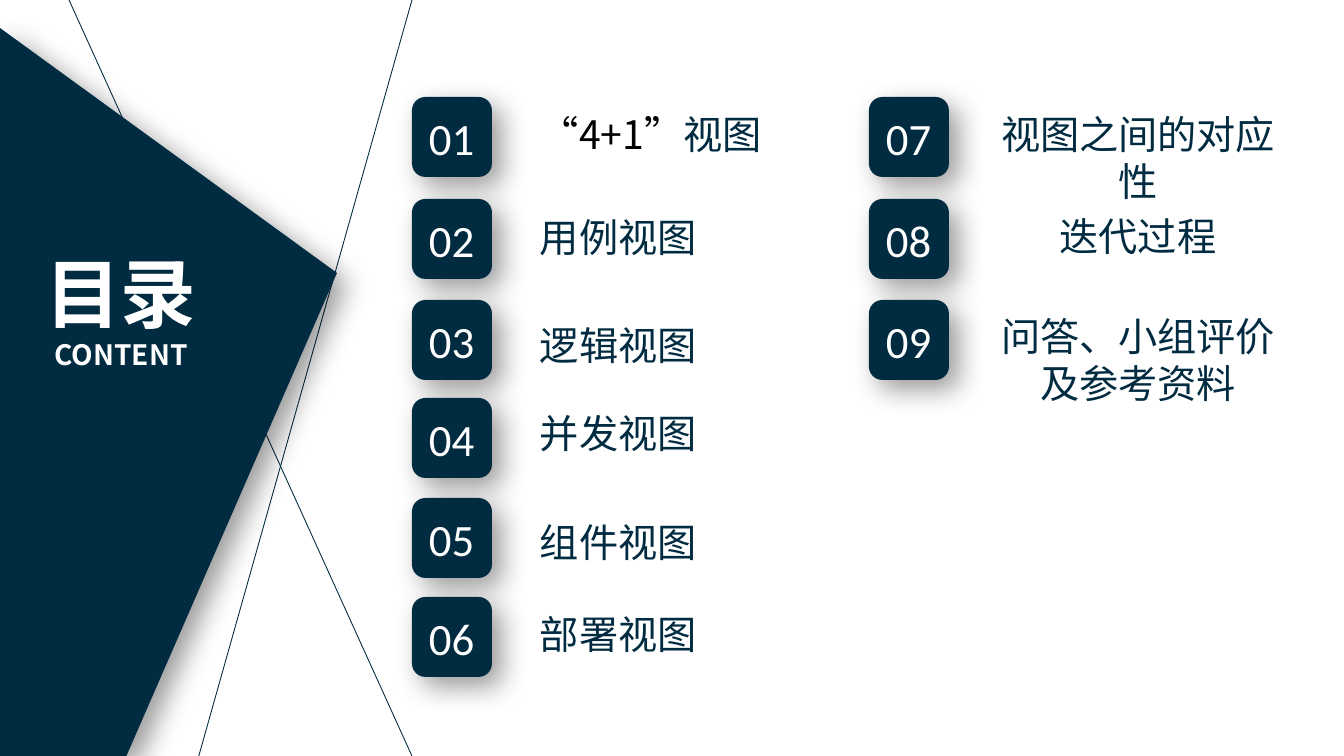
import pptx
import pptx.dml.color
import pptx.enum.lang
import pptx.enum.shapes
import pptx.enum.text
import pptx.oxml
import pptx.oxml.ns
import pptx.util

PX = 914400 / 100.8
NAVY = pptx.dml.color.RGBColor(0x00, 0x2B, 0x41)
WHITE = pptx.dml.color.RGBColor(0xFF, 0xFF, 0xFF)
BLACK = pptx.dml.color.RGBColor(0x00, 0x00, 0x00)
CJK = "Noto Sans CJK SC"
LEFT = pptx.enum.text.PP_ALIGN.LEFT
CENTER = pptx.enum.text.PP_ALIGN.CENTER
A_NS = pptx.oxml.ns.nsdecls("a")
SHADOW = (
    f'<a:outerShdw {A_NS} blurRad="254000" dist="127000" dir="2700000" algn="tl" rotWithShape="0">'
    '<a:srgbClr val="000000"><a:alpha val="40000"/></a:srgbClr></a:outerShdw>'
)


def fill_with_shadow(sp):
    sp.fill.solid()
    sp.fill.fore_color.rgb = NAVY
    sp.line.fill.background()
    sp.shadow.inherit = False
    effects = sp._element.spPr.find(pptx.oxml.ns.qn("a:effectLst"))
    effects.append(pptx.oxml.parse_xml(SHADOW))


def add_text(box, paragraphs, align, wrap=True):
    """Each paragraph is a list of (text, colour, font format) runs."""
    tf = s.shapes.add_textbox(*(round(v * PX) for v in box)).text_frame
    tf.word_wrap = wrap
    for i, runs in enumerate(paragraphs):
        p = tf.add_paragraph() if i else tf.paragraphs[0]
        p.alignment = align
        for text, color, fmt in runs:
            r = p.add_run()
            r.text = text
            for name, value in fmt.items():
                setattr(r.font, name, value)
            r.font.color.rgb = color
            ea = f'<a:ea {A_NS} typeface="{fmt["name"]}"/>'
            r.font._element.append(pptx.oxml.parse_xml(ea))


prs = pptx.Presentation()
prs.slide_width = round(1344 * PX)
prs.slide_height = round(756 * PX)
s = prs.slides.add_slide(prs.slide_layouts[6])

# Thin crossing lines
for ends in [(412, 0, 196, 766), (412, 756, 60, -20)]:
    line = s.shapes.add_connector(
        pptx.enum.shapes.MSO_CONNECTOR.STRAIGHT, *(round(v * PX) for v in ends))
    line.line.color.rgb = NAVY
    line.line.width = pptx.util.Pt(0.63)
    line._element.spPr.append(pptx.oxml.parse_xml(f"<a:effectLst {A_NS}/>"))

# Dark panel
panel = s.shapes.build_freeform(126, 757, scale=PX)
panel.add_line_segments([(0, 757), (0, 28), (337, 273)], close=True)
fill_with_shadow(panel.convert_to_shape())

# Title
title_fmt = {"name": CJK, "size": pptx.util.Pt(54), "bold": True}
subtitle_fmt = {**title_fmt, "size": pptx.util.Pt(20)}
add_text((24, 242, 194, 136),
         [[("目录", WHITE, title_fmt)], [("CONTENT", WHITE, subtitle_fmt)]], CENTER)

# Contents: tile left, label alignment, then (tile top, label top, label runs)
columns = [
    (412, LEFT, [
        (97, 105, [("“4+1”", BLACK), ("视图", NAVY)]),
        (199, 208, [("用例视图", NAVY)]),
        (300, 316, [("逻辑视图", NAVY)]),
        (398, 404, [("并发视图", NAVY)]),
        (498, 513, [("组件视图", NAVY)]),
        (597, 605, [("部署视图", NAVY)]),
    ]),
    (869, CENTER, [
        (97, 105, [("视图之间的对应性", NAVY)]),
        (199, 207, [("迭代过程", NAVY)]),
        (300, 307, [("问答、小组评价及参考资料", NAVY)]),
    ]),
]
number_fmt = {"name": "Calibri", "size": pptx.util.Pt(32)}
label_fmt = {
    "name": CJK,
    "size": pptx.util.Pt(28),
    "language_id": pptx.enum.lang.MSO_LANGUAGE_ID.SIMPLIFIED_CHINESE,
}
number = 0
for left, align, items in columns:
    for top, label_top, label in items:
        number += 1
        tile = s.shapes.add_shape(
            pptx.enum.shapes.MSO_SHAPE.ROUNDED_RECTANGLE,
            *(round(v * PX) for v in (left, top, 80, 80)))
        fill_with_shadow(tile)
        add_text((left + 7, top + 9, 66, 65),
                 [[(f"{number:02d}", WHITE, number_fmt)]], LEFT, wrap=False)
        runs = [(text, color, label_fmt) for text, color in label]
        label_left = left + (118 if align == LEFT else 109)
        add_text((label_left, label_top, 320, 57), [runs], align)

prs.save("out.pptx")
